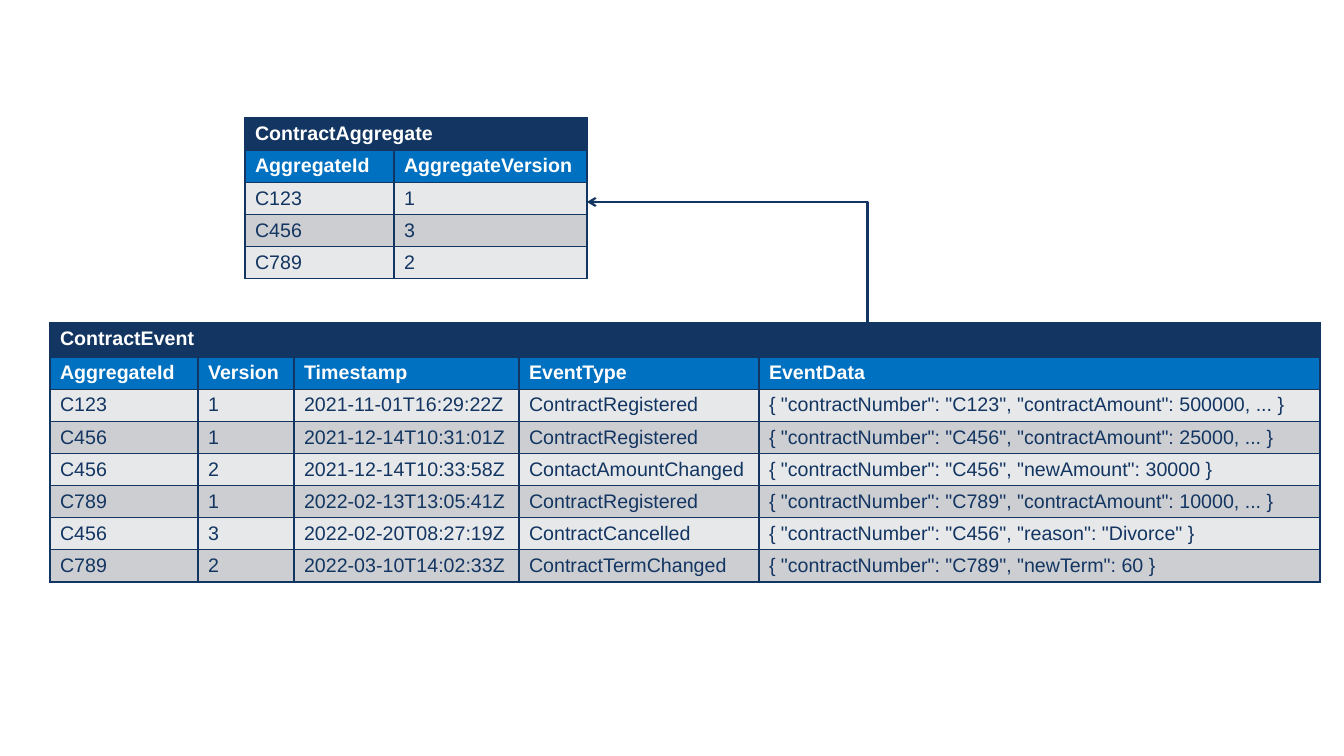
from dataclasses import dataclass

from lxml import etree
from pptx import Presentation
from pptx.dml.color import RGBColor
from pptx.enum.shapes import MSO_CONNECTOR
from pptx.oxml.ns import qn
from pptx.util import Pt

ELBOW = MSO_CONNECTOR.ELBOW
PX = 914400 / 100.8  # EMU per px
NAVY = RGBColor(0x13, 0x35, 0x61)
BLUE = RGBColor(0x00, 0x70, 0xC0)
WHITE = RGBColor(0xFF, 0xFF, 0xFF)
BANDS = (RGBColor(0xE7, 0xE8, 0xEA), RGBColor(0xCC, 0xCE, 0xD2))
FONT = "Arial"
TEXT_SIZE = Pt(14)
ROW_HEIGHT = 32
TITLE_SPAN = 2
HEADER_ROWS = 2


@dataclass(frozen=True)
class DataTable:
    left: int
    top: int
    title: str
    columns: dict[str, int]  # heading: width in px
    records: list[tuple[str, ...]]


@dataclass(frozen=True)
class Reference:
    start: tuple[int, int]
    end: tuple[int, int]


AGGREGATES = DataTable(
    245, 118, "ContractAggregate",
    {"AggregateId": 149, "AggregateVersion": 193},
    [("C123", "1"), ("C456", "3"), ("C789", "2")],
)
EVENTS = DataTable(
    50, 323, "ContractEvent",
    {"AggregateId": 148, "Version": 96, "Timestamp": 225, "EventType": 240, "EventData": 561},
    [
        ("C123", "1", "2021-11-01T16:29:22Z", "ContractRegistered",
         '{ "contractNumber": "C123", "contractAmount": 500000, ... }'),
        ("C456", "1", "2021-12-14T10:31:01Z", "ContractRegistered",
         '{ "contractNumber": "C456", "contractAmount": 25000, ... }'),
        ("C456", "2", "2021-12-14T10:33:58Z", "ContactAmountChanged",
         '{ "contractNumber": "C456", "newAmount": 30000 }'),
        ("C789", "1", "2022-02-13T13:05:41Z", "ContractRegistered",
         '{ "contractNumber": "C789", "contractAmount": 10000, ... }'),
        ("C456", "3", "2022-02-20T08:27:19Z", "ContractCancelled",
         '{ "contractNumber": "C456", "reason": "Divorce" }'),
        ("C789", "2", "2022-03-10T14:02:33Z", "ContractTermChanged",
         '{ "contractNumber": "C789", "newTerm": 60 }'),
    ],
)
EVENT_TO_AGGREGATE = Reference(start=(867, 323), end=(587, 202))


def px(length: int) -> int:
    return round(length * PX)


def add_borders(cell) -> None:
    properties = cell._tc.get_or_add_tcPr()
    for position, side in enumerate(("lnL", "lnR", "lnT", "lnB")):
        border = etree.Element(qn(f"a:{side}"), w=str(Pt(1)))
        fill = etree.SubElement(border, qn("a:solidFill"))
        etree.SubElement(fill, qn("a:srgbClr"), val=str(NAVY))
        properties.insert(position, border)  # borders come before the fill


def fill_cell(cell, text: str, background: RGBColor, color: RGBColor, bold: bool) -> None:
    cell.fill.solid()
    cell.fill.fore_color.rgb = background
    add_borders(cell)
    paragraph = cell.text_frame.paragraphs[0]
    if not text:
        # An empty cell needs the text size too, or its row grows
        etree.SubElement(paragraph._p, qn("a:endParaRPr"), sz=str(round(TEXT_SIZE.pt * 100)))
        return
    paragraph.text = text
    font = paragraph.runs[0].font
    font.name, font.size, font.bold = FONT, TEXT_SIZE, bold
    font.color.rgb = color


def add_data_table(slide, data: DataTable) -> None:
    widths = list(data.columns.values())
    title_row = (data.title,) + ("",) * (len(widths) - 1)
    rows = [title_row, tuple(data.columns), *data.records]
    table = slide.shapes.add_table(
        len(rows), len(widths), px(data.left), px(data.top),
        px(sum(widths)), px(ROW_HEIGHT * len(rows)),
    ).table
    table.first_row = table.horz_banding = False
    for column, width in zip(table.columns, widths):
        column.width = px(width)
    for index, texts in enumerate(rows):
        table.rows[index].height = px(ROW_HEIGHT)
        is_header = index < HEADER_ROWS
        background = (NAVY, BLUE)[index] if is_header else BANDS[index % 2]
        for column_index, text in enumerate(texts):
            fill_cell(table.cell(index, column_index), text, background,
                      WHITE if is_header else NAVY, is_header)
    table.cell(0, 0).merge(table.cell(0, TITLE_SPAN - 1))


def add_reference(slide, reference: Reference) -> None:
    arrow = slide.shapes.add_connector(
        ELBOW, *map(px, reference.start), *map(px, reference.end))
    arrow.line.color.rgb = NAVY
    arrow.line.width = Pt(1.5)
    etree.SubElement(arrow.line._get_or_add_ln(), qn("a:tailEnd"), type="arrow")
    properties = arrow._element.spPr
    etree.SubElement(properties, qn("a:effectLst"))
    # Bend right at the start: straight up, then left
    bend = properties.find(qn("a:prstGeom")).find(qn("a:avLst"))
    etree.SubElement(bend, qn("a:gd"), name="adj1", fmla="val -200")


def main() -> None:
    presentation = Presentation()
    presentation.slide_width, presentation.slide_height = px(1344), px(756)
    slide = presentation.slides.add_slide(presentation.slide_layouts[6])

    # Arrow from the events to their aggregate
    add_reference(slide, EVENT_TO_AGGREGATE)

    # Aggregate and event tables
    for data in (AGGREGATES, EVENTS):
        add_data_table(slide, data)

    presentation.save("out.pptx")


if __name__ == "__main__":
    main()
